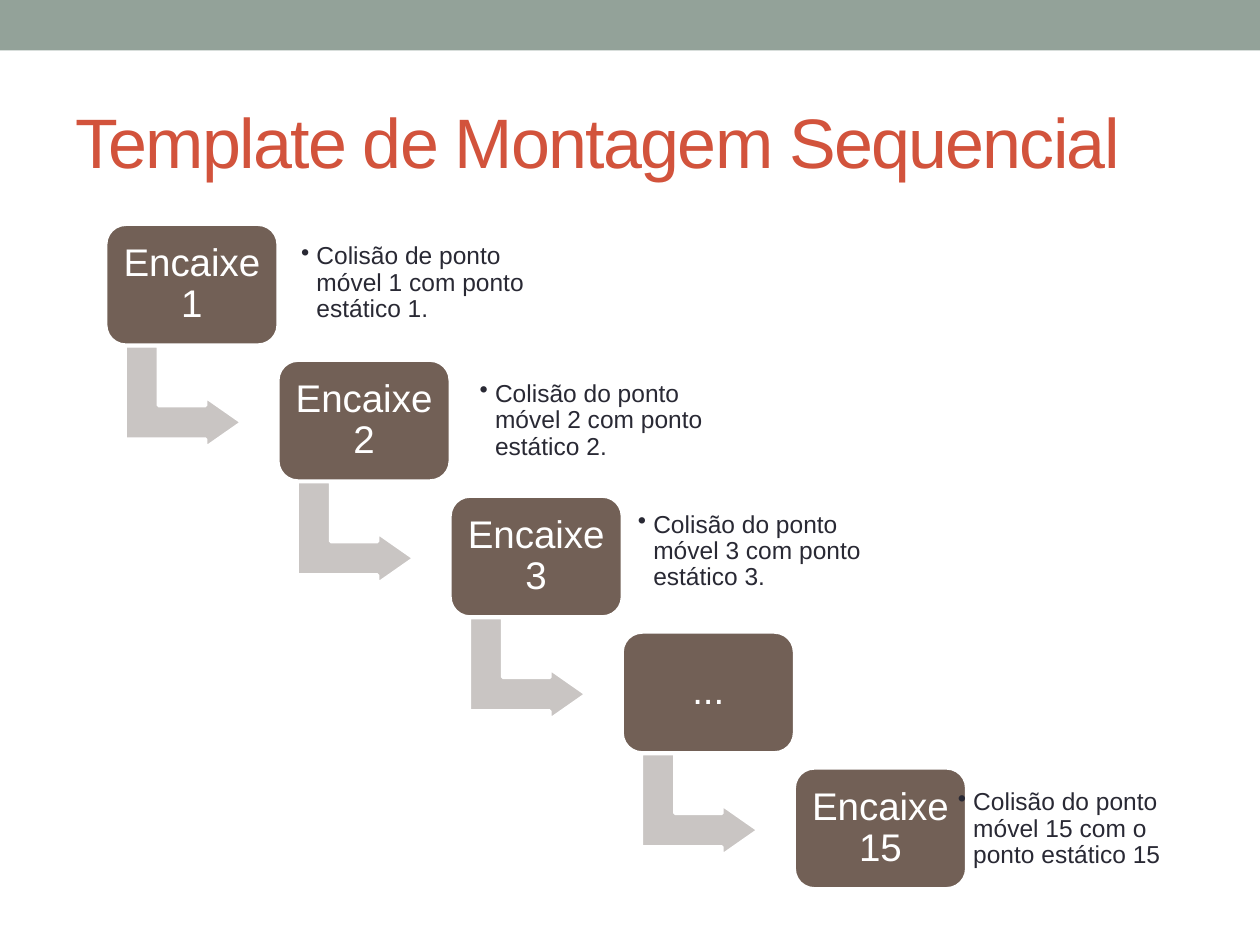
from lxml.etree import SubElement
from pptx import Presentation
from pptx.dml.color import RGBColor
from pptx.enum.shapes import MSO_SHAPE as Shape
from pptx.enum.text import MSO_ANCHOR as Anchor, MSO_AUTO_SIZE as AutoSize, PP_ALIGN as Align
from pptx.oxml.ns import qn
from pptx.util import Cm, Pt

COLORS = {
    "bar": "93A299", "title": "D2533C", "step": "726056",
    "arrow": "C9C5C3", "white": "FFFFFF", "note": "292934",
}
TITLE = "Template de Montagem Sequencial"
# Step label, note text, note offset from the step box (cm)
STEPS = [
    ("Encaixe 1", "Colisão de ponto móvel 1 com ponto estático 1.", (3.76, 0.2)),
    ("Encaixe 2", "Colisão do ponto móvel 2 com ponto estático 2.", (3.89, 0.23)),
    ("Encaixe 3", "Colisão do ponto móvel 3 com ponto estático 3.", (3.61, 0.13)),
    ("...", None, None),
    ("Encaixe 15", "Colisão do ponto móvel 15 com o ponto estático 15", (3.12, 0.25)),
]
STEP_SIZE = (3.48, 2.44)
STEP_SHIFT = (3.47, 2.74)
NOTE_SIZE = (4.98, 1.98)


def rgb(name):
    return RGBColor.from_string(COLORS[name])


def set_attributes(target, values):
    for name, value in values.items():
        setattr(target, name, value)


def write(shape, text, size, color, align, inset, line_spacing=0.9):
    """Write one Arial paragraph, centred vertically, and return it."""
    frame = shape.text_frame
    set_attributes(frame, {
        "word_wrap": True, "auto_size": AutoSize.NONE, "vertical_anchor": Anchor.MIDDLE,
        "margin_left": Cm(inset), "margin_right": Cm(inset),
        "margin_top": Cm(inset), "margin_bottom": Cm(inset),
    })
    paragraph = frame.paragraphs[0]
    set_attributes(paragraph, {"alignment": align, "line_spacing": line_spacing})
    run = paragraph.add_run()
    run.text = text
    set_attributes(run.font, {"name": "Arial", "size": Pt(size), "bold": False})
    run.font.color.rgb = rgb(color)
    return paragraph


def add_block(slide, kind, left, top, width, height, fill, adjustments=(), outlined=True):
    shape = slide.shapes.add_shape(kind, Cm(left), Cm(top), Cm(width), Cm(height))
    shape.shadow.inherit = False
    shape.fill.solid()
    shape.fill.fore_color.rgb = rgb(fill)
    if outlined:
        shape.line.color.rgb = rgb("white")
        shape.line.width = Pt(2.08)
    else:
        shape.line.fill.background()
    for index, value in enumerate(adjustments):
        shape.adjustments[index] = value
    return shape


def add_header(slide, left, top, width):
    add_block(slide, Shape.RECTANGLE, left, top, width, 1.02, "bar", outlined=False)
    title = slide.shapes.title
    set_attributes(title, {
        "left": Cm(left + 1.27), "top": Cm(top + 1.47),
        "width": Cm(width - 2.54), "height": Cm(2.74),
    })
    paragraph = write(title, TITLE, 40, "title", Align.LEFT, 0.25, 1.0)
    paragraph.runs[0].font._element.set("spc", "-100")


def add_note(slide, left, top, text):
    width, height = NOTE_SIZE
    note = slide.shapes.add_textbox(Cm(left), Cm(top), Cm(width), Cm(height))
    paragraph = write(note, text, 14, "note", Align.LEFT, 0.18)
    properties = paragraph._p.get_or_add_pPr()
    properties.set("marL", str(Cm(0.31)))
    properties.set("indent", str(-Cm(0.31)))
    SubElement(properties, qn("a:buChar")).set("char", "•")


def add_staircase(slide, left, top):
    """Place the steps downwards to the right, with an arrow between each pair."""
    for index, (label, note, offset) in enumerate(STEPS):
        x = left + index * STEP_SHIFT[0]
        y = top + index * STEP_SHIFT[1]
        if index < len(STEPS) - 1:
            arrow = add_block(slide, Shape.BENT_UP_ARROW, x + 0.54, y + 2.3, 2.06, 2.36,
                              "arrow", (0.328, 0.25, 0.358))
            arrow.rotation = 90
        step = add_block(slide, Shape.ROUNDED_RECTANGLE, x, y, *STEP_SIZE, "step", (0.167,))
        write(step, label, 22, "white", Align.CENTER, 0.22)
        if note:
            add_note(slide, x + offset[0], y + offset[1], note)


def main():
    presentation = Presentation()
    set_attributes(presentation, {"slide_width": Cm(25.4), "slide_height": Cm(19.05)})
    slide = presentation.slides.add_slide(presentation.slide_layouts[5])
    add_header(slide, 0, 0, 25.4)
    add_staircase(slide, 2.13, 4.52)
    presentation.save("out.pptx")


if __name__ == "__main__":
    main()
